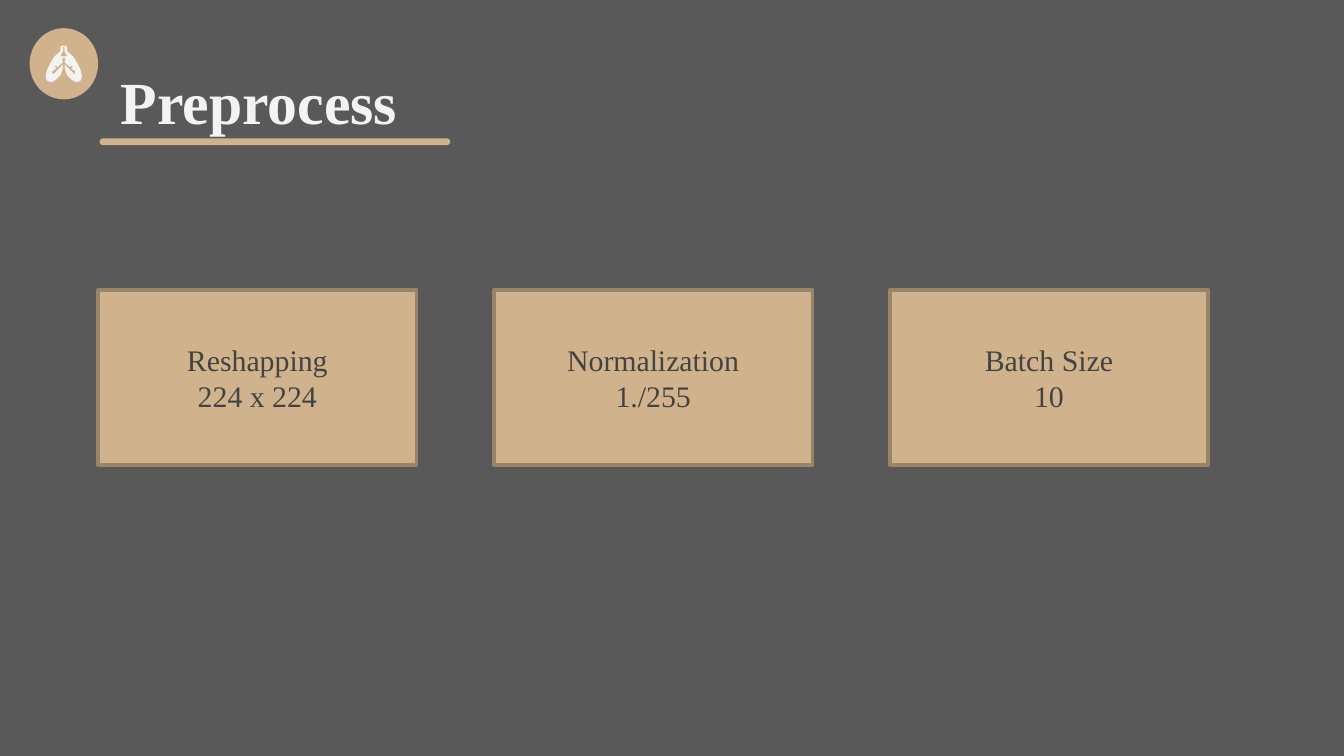
from dataclasses import dataclass
from pptx import Presentation
from pptx.dml.color import RGBColor
from pptx.enum.shapes import MSO_SHAPE
from pptx.enum.text import MSO_ANCHOR, PP_ALIGN
from pptx.util import Inches, Pt

RECTANGLE, ROUNDED, OVAL = MSO_SHAPE.RECTANGLE, MSO_SHAPE.ROUNDED_RECTANGLE, MSO_SHAPE.OVAL
TOP, MIDDLE = MSO_ANCHOR.TOP, MSO_ANCHOR.MIDDLE
LEFT, CENTER = PP_ALIGN.LEFT, PP_ALIGN.CENTER


@dataclass(frozen=True)
class Theme:
    background: RGBColor = RGBColor.from_string("595959")
    tan: RGBColor = RGBColor.from_string("D0B38C")
    border: RGBColor = RGBColor.from_string("9A8468")
    light: RGBColor = RGBColor.from_string("F3F3F3")
    dark: RGBColor = RGBColor.from_string("434343")
    font: str = "Times New Roman"
    title_size: int = 32
    body_size: int = 16


theme = Theme()


def write_text(box, text, size, color, bold=False, align=LEFT, anchor=TOP):
    frame = box.text_frame
    frame.word_wrap = True
    frame.vertical_anchor = anchor
    frame.text = text
    for para in frame.paragraphs:
        para.alignment = align
        for span in para.runs:
            span.font.name = theme.font
            span.font.size = Pt(size)
            span.font.bold = bold
            span.font.color.rgb = color


def paint(shape, fill, border=None):
    shape.shadow.inherit = False
    shape.fill.solid()
    shape.fill.fore_color.rgb = fill
    if border is None:
        shape.line.fill.background()
    else:
        shape.line.color.rgb = border
        shape.line.width = Pt(2)


deck = Presentation()
deck.slide_width = Inches(10)
deck.slide_height = deck.slide_width * 9 // 16
page = deck.slides.add_slide(deck.slide_layouts[6])
page.background.fill.solid()
page.background.fill.fore_color.rgb = theme.background

underline = page.shapes.add_shape(ROUNDED, Inches(2.02), Inches(-0.25), Inches(0.05), Inches(2.61))
underline.rotation = 90
underline.adjustments[0] = 0.5
paint(underline, theme.tan)

title = page.shapes.add_textbox(Inches(0.8), Inches(0.38), Inches(8.41), Inches(0.63))
title.text_frame.margin_left = title.text_frame.margin_right = Inches(0.1)
title.text_frame.margin_top = title.text_frame.margin_bottom = Inches(0.1)
write_text(title, "Preprocess", theme.title_size, theme.light, bold=True)

badge = page.shapes.add_shape(OVAL, Inches(0.22), Inches(0.21), Inches(0.51), Inches(0.53))
paint(badge, theme.tan)

lung_half = [
    (0, 0.34), (1.5, 0.34), (2.5, 0.35), (2.5, 0.38), (3.5, 0.39), (4.5, 0.4),
    (7, 0.42), (10, 0.47), (12.5, 0.52), (13.5, 0.57), (12.5, 0.6), (10.5, 0.61),
    (8.5, 0.61), (5.5, 0.59), (2.5, 0.56), (1, 0.52), (0.5, 0.48), (3.5, 0.51),
    (4.5, 0.52), (7.5, 0.55), (8.5, 0.55), (8.5, 0.53), (5.5, 0.51), (6.5, 0.5),
    (6.5, 0.49), (5.5, 0.49), (4.5, 0.5), (0.5, 0.46), (1.5, 0.44), (0, 0.43),
]
windpipe_half = [(0, 0.35), (0.5, 0.35), (0.5, 0.38), (1.5, 0.4), (2.5, 0.41), (1.5, 0.42), (0, 0.42)]
outlines = []
for half in (lung_half, windpipe_half):
    left_side = [(Inches(0.475 - offset / 100), Inches(y)) for offset, y in half]
    right_side = [(Inches(0.475 + offset / 100), Inches(y)) for offset, y in reversed(half)]
    outlines.append(left_side + right_side)
lung_outline, windpipe_outline = outlines
builder = page.shapes.build_freeform(*lung_outline[0])
builder.add_line_segments(lung_outline[1:])
builder.move_to(*windpipe_outline[0])
builder.add_line_segments(windpipe_outline[1:])
paint(builder.convert_to_shape(), theme.light)

steps = ["Reshapping\n224 x 224", "Normalization\n1./255", "Batch Size\n10"]
card_width, first_left, last_left = Inches(2.37), Inches(0.73), Inches(6.62)
pitch = (last_left - first_left) // (len(steps) - 1)
for index, step in enumerate(steps):
    card = page.shapes.add_shape(
        RECTANGLE, first_left + pitch * index, Inches(2.16), card_width, Inches(1.3))
    paint(card, theme.tan, theme.border)
    write_text(card, step, theme.body_size, theme.dark, align=CENTER, anchor=MIDDLE)

deck.save("out.pptx")
